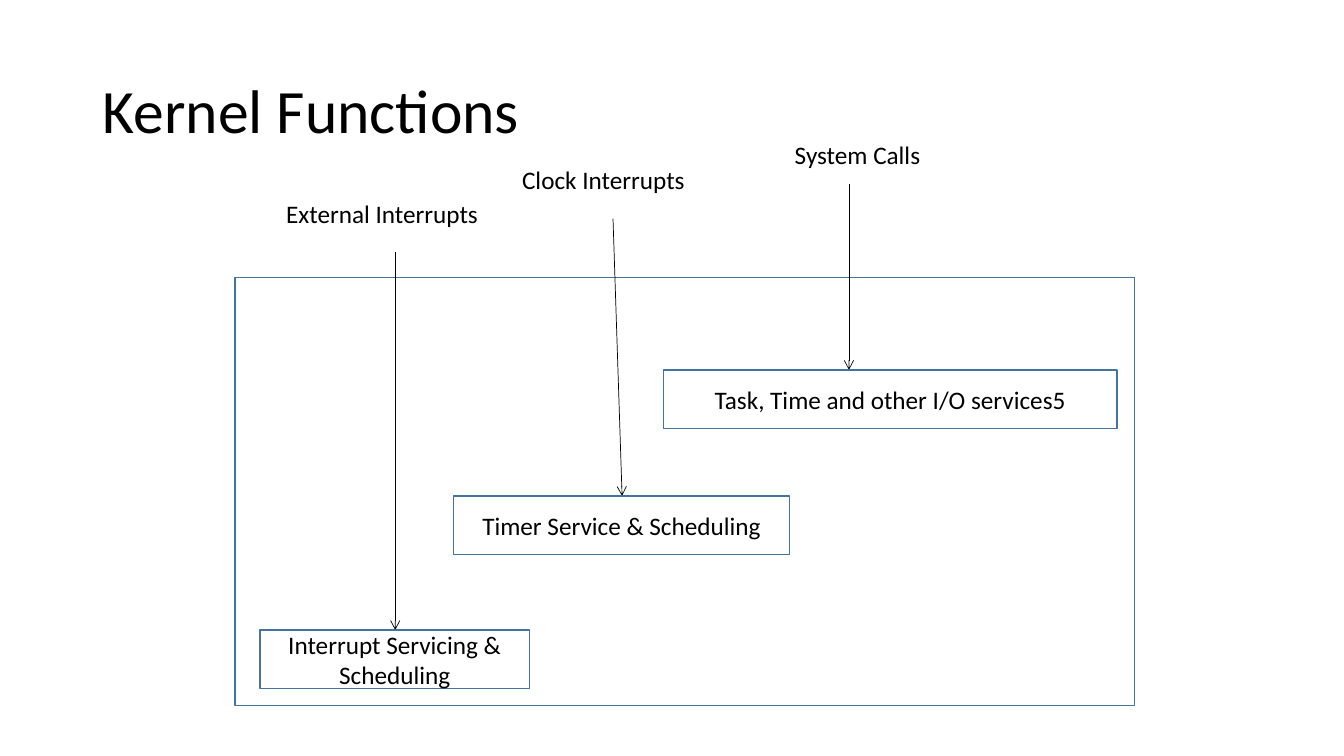
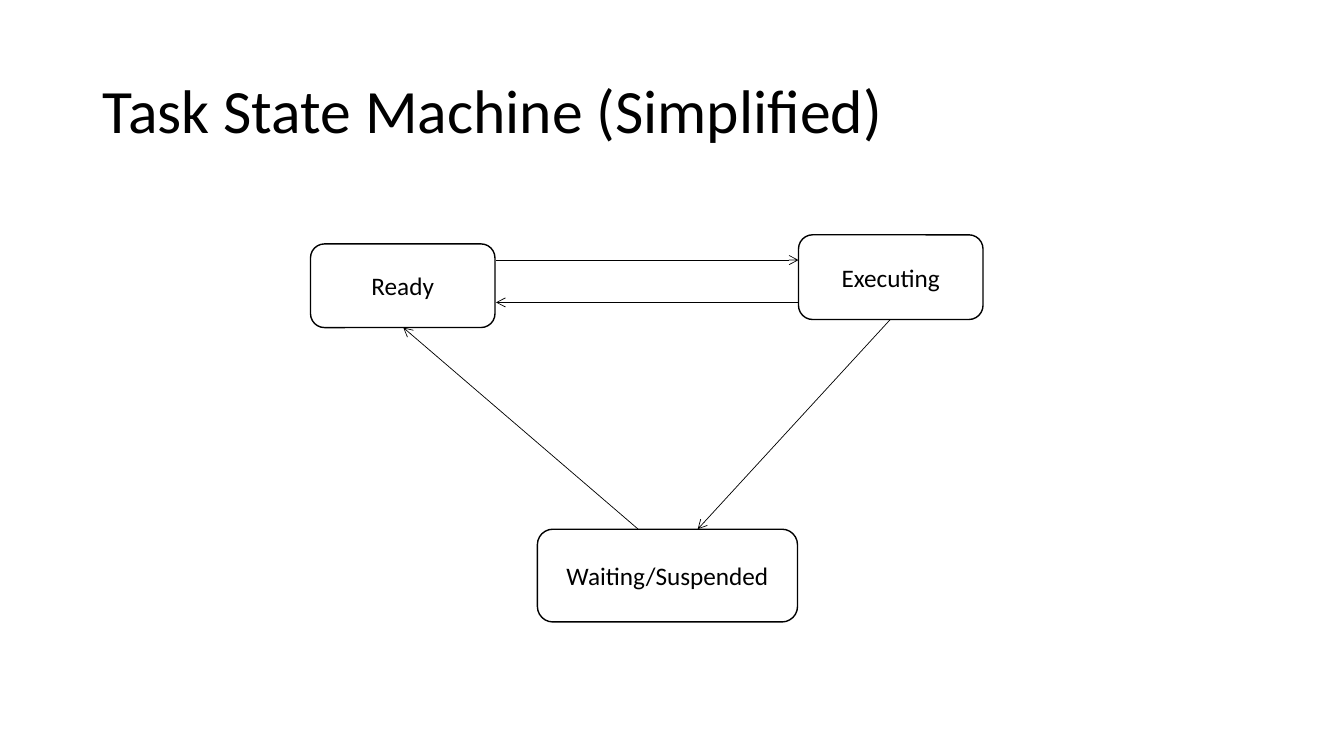
"""Builds two slides on kernel functions and task states."""
from lxml.etree import SubElement
from pptx import Presentation
from pptx.dml.color import RGBColor
from pptx.enum.shapes import MSO_CONNECTOR as Connector, MSO_SHAPE as Shape
from pptx.enum.text import MSO_ANCHOR as Anchor, MSO_AUTO_SIZE as AutoSize, PP_ALIGN as Align
from pptx.oxml.ns import qn
from pptx.util import Inches, Pt

FONT = "Calibri"
BLACK, WHITE, BLUE = "000000", "FFFFFF", "43739E"
TITLE_AREA = (0.92, 0.4, 11.5, 1.45)
TITLE_ONLY = 5

KERNEL_FRAME = (2.33, 2.75, 8.92, 4.25)
SERVICE_HEIGHT = 0.58
LABEL_HEIGHT = 0.4
KERNEL_PATHS = [
    {"label": "External Interrupts", "label_at": (2.73, 1.92, 2.12),
     "service": "Interrupt Servicing & Scheduling", "service_at": (2.58, 6.25, 2.67),
     "start": (3.92, 2.5), "end_x": 3.92},
    {"label": "Clock Interrupts", "label_at": (5.07, 1.58, 1.83),
     "service": "Timer Service & Scheduling", "service_at": (4.5, 4.92, 3.33),
     "start": (6.08, 2.17), "end_x": 6.17},
    {"label": "System Calls", "label_at": (7.67, 1.33, 1.67),
     "service": "Task, Time and other I/O services5", "service_at": (6.58, 3.67, 4.5),
     "start": (8.42, 1.83), "end_x": 8.42},
]

TASK_STATES = [
    ("Ready", (3.08, 2.42, 1.83, 0.83)),
    ("Executing", (7.92, 2.33, 1.83, 0.84)),
    ("Waiting/Suspended", (5.33, 5.25, 2.58, 0.92)),
]
TRANSITIONS = [
    ((4.92, 2.58), (7.92, 2.58)),
    ((8.83, 3.17), (6.92, 5.25)),
    ((6.33, 5.25), (4, 3.25)),
    ((7.92, 3), (4.92, 3)),
]


def color(value):
    return RGBColor.from_string(value)


def inches(values):
    return [Inches(value) for value in values]


def write(shape, text, size=18, align=Align.CENTER, anchor=Anchor.MIDDLE):
    frame = shape.text_frame
    frame.text = text
    frame.vertical_anchor = anchor
    paragraph = frame.paragraphs[0]
    paragraph.alignment = align
    font = paragraph.runs[0].font
    font.name, font.size = FONT, Pt(size)
    font.color.rgb = color(BLACK)
    return paragraph


def add_titled_slide(presentation, title):
    slide = presentation.slides.add_slide(presentation.slide_layouts[TITLE_ONLY])
    shape = slide.shapes.title
    shape.left, shape.top, shape.width, shape.height = inches(TITLE_AREA)
    write(shape, title, 44, Align.LEFT).line_spacing = 0.9
    shape.text_frame.auto_size = AutoSize.NONE
    return slide


def add_box(slide, area, line, kind=Shape.RECTANGLE, text=None):
    shape = slide.shapes.add_shape(kind, *inches(area))
    shape.shadow.inherit = False
    shape.fill.solid()
    shape.fill.fore_color.rgb = color(WHITE)
    shape.line.color.rgb = color(line)
    shape.line.width = Pt(1)
    if text:
        write(shape, text)


def add_label(slide, text, area):
    shape = slide.shapes.add_textbox(*inches(area))
    write(shape, text, anchor=Anchor.TOP)
    shape.text_frame.word_wrap = False
    shape.text_frame.auto_size = AutoSize.SHAPE_TO_FIT_TEXT


def add_arrow(slide, start, end):
    arrow = slide.shapes.add_connector(Connector.STRAIGHT, *inches(start + end))
    arrow.line.color.rgb = color(BLACK)
    arrow.line.width = Pt(0.5)
    properties = arrow.element.spPr
    SubElement(properties.find(qn("a:ln")), qn("a:tailEnd"), type="arrow")
    SubElement(properties, qn("a:effectLst"))


def build_kernel_slide(presentation):
    slide = add_titled_slide(presentation, "Kernel Functions")
    add_box(slide, KERNEL_FRAME, BLUE)
    for path in KERNEL_PATHS:
        service_area = path["service_at"] + (SERVICE_HEIGHT,)
        add_arrow(slide, path["start"], (path["end_x"], service_area[1]))
        add_box(slide, service_area, BLUE, text=path["service"])
        add_label(slide, path["label"], path["label_at"] + (LABEL_HEIGHT,))


def build_state_slide(presentation):
    slide = add_titled_slide(presentation, "Task State Machine (Simplified)")
    for name, area in TASK_STATES:
        add_box(slide, area, BLACK, Shape.FLOWCHART_ALTERNATE_PROCESS, name)
    for start, end in TRANSITIONS:
        add_arrow(slide, start, end)


def main():
    presentation = Presentation()
    presentation.slide_width, presentation.slide_height = inches((13.33, 7.5))
    build_kernel_slide(presentation)
    build_state_slide(presentation)
    presentation.save("out.pptx")


if __name__ == "__main__":
    main()
